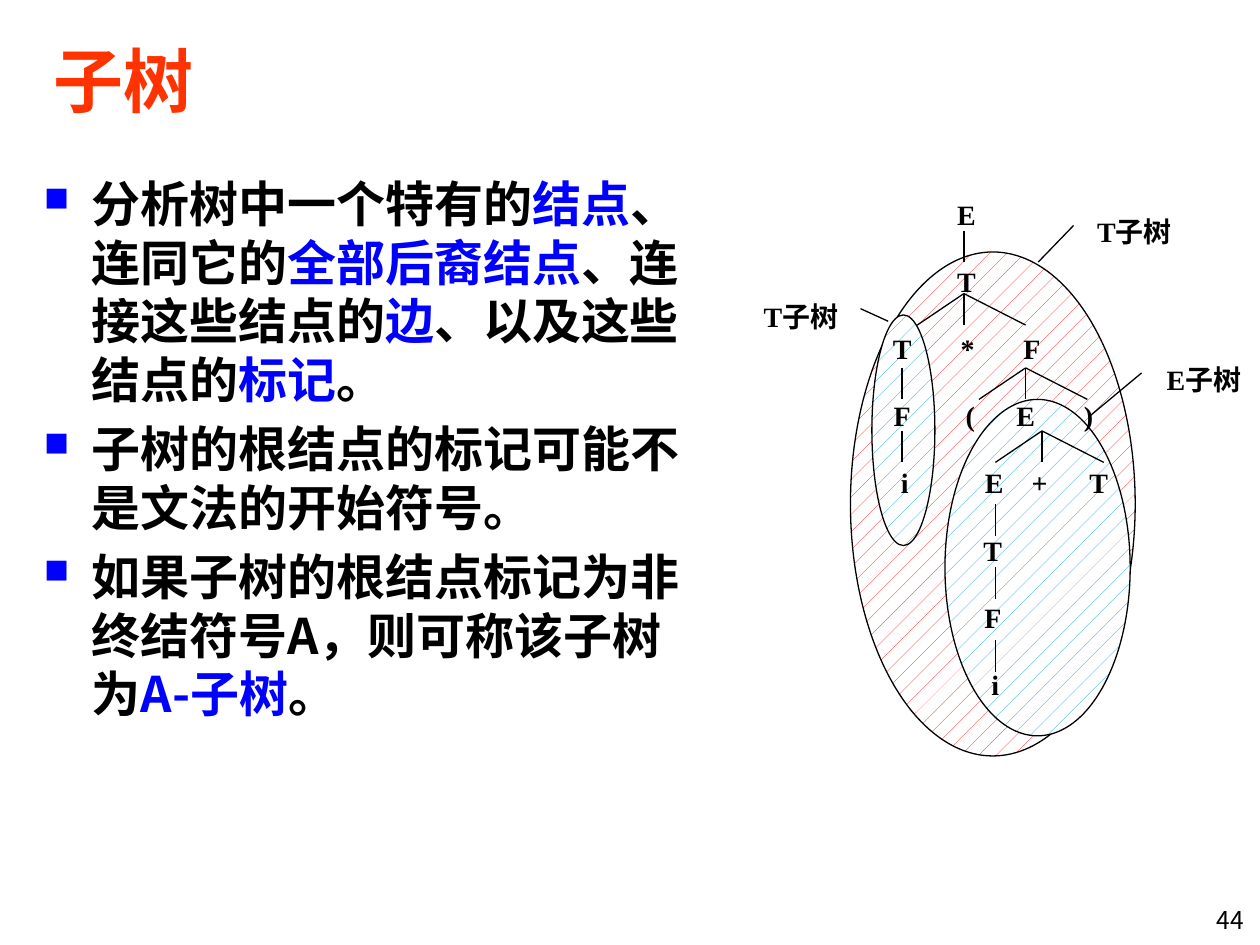
from lxml import etree
from pptx import Presentation
from pptx import util as u
from pptx.dml.color import RGBColor
from pptx.enum import dml, shapes, text
from pptx.oxml.ns import qn

SANS, SERIF = "Noto Sans CJK SC", "Times New Roman"
BLACK, BLUE, ORANGE, WHITE = "000000", "0000FF", "FF3300", "FFFFFF"
RED, CYAN = "FF0000", "0099CC"

# Content: each bullet is a list of (text, colour)
BULLETS = [
    [("分析树中一个特有的", BLACK), ("结点", BLUE), ("、连同它的", BLACK),
     ("全部后裔结点", BLUE), ("、连接这些结点的", BLACK), ("边", BLUE),
     ("、以及这些结点的", BLACK), ("标记", BLUE), ("。", BLACK)],
    [("子树的根结点的标记可能不是文法的开始符号。", BLACK)],
    [("如果子树的根结点标记为非终结符号A，则可称该子树为", BLACK),
     ("A-子树", BLUE), ("。", BLACK)],
]

# Subtrees: ellipse box, hatch colour, label, label box, alignment, leader start and end
SUBTREES = [
    ((6.75, 2, 2.26, 4), RED, "T子树", (8.61, 1.66, 1.55, 0.38),
     text.PP_ALIGN.LEFT, (8.52, 1.79), (8.24, 2.08)),
    ((7.5, 3.17, 1.47, 2.67), CYAN, "E子树", (9.16, 2.83, 1.01, 0.38),
     text.PP_ALIGN.LEFT, (9.06, 2.96), (8.64, 3.31)),
    ((6.92, 2.5, 0.5, 1.83), CYAN, "T子树", (5.92, 2.33, 0.83, 0.38),
     text.PP_ALIGN.RIGHT, (6.83, 2.45), (7.05, 2.55)),
]

# Parse tree: one row per level, each node is (symbol, centre x)
LEVELS = [
    [("E", 7.67)],
    [("T", 7.67)],
    [("T", 7.16), ("*", 7.68), ("F", 8.19)],
    [("F", 7.16), ("(", 7.7), ("E", 8.14), (")", 8.64)],
    [("i", 7.18), ("E", 7.89), ("+", 8.25), ("T", 8.72)],
    [("T", 7.88)],
    [("F", 7.88)],
    [("i", 7.9)],
]
FIRST_LEVEL, LEVEL_STEP = 1.7, 0.533

# Edges: parent x, parent y, then the x of every child
EDGE_DROP = 0.25
EDGES = [
    (7.65, 1.83, [7.65]),
    (7.65, 2.33, [7.28, 8.14, 7.65]),
    (7.16, 2.92, [7.16]),
    (8.14, 2.92, [7.77, 8.63, 8.14]),
    (8.27, 3.42, [7.9, 8.76, 8.27]),
    (7.16, 3.42, [7.16]),
    (7.9, 4, [7.9]),
    (7.9, 4.5, [7.9]),
    (7.9, 5.08, [7.9]),
]


def color(value):
    return RGBColor.from_string(value)


def inches(values):
    return [u.Inches(value) for value in values]


def add_run(paragraph, words, size, font=SANS, fill=BLACK, bold=True):
    run = paragraph.add_run()
    run.text = words
    run.font.size, run.font.bold, run.font.name = u.Pt(size), bold, font
    run.font.color.rgb = color(fill)
    east_asian = etree.SubElement(run.font._element, qn("a:ea"))
    east_asian.set("typeface", SANS)


def add_text_box(box, anchor=text.MSO_ANCHOR.TOP, wrap=True):
    frame = slide.shapes.add_textbox(*inches(box)).text_frame
    frame.word_wrap = wrap
    frame.vertical_anchor = anchor
    return frame


def add_bullet(paragraph):
    properties = paragraph._p.get_or_add_pPr()
    properties.set("marL", str(u.Inches(0.38)))
    properties.set("indent", str(u.Inches(-0.38)))
    bullet_color = etree.SubElement(properties, qn("a:buClr"))
    etree.SubElement(bullet_color, qn("a:srgbClr")).set("val", BLUE)
    etree.SubElement(properties, qn("a:buSzPct")).set("val", "70000")
    etree.SubElement(properties, qn("a:buChar")).set("char", "■")


def add_subtree(ellipse_box, hatch, label, label_box, align, start, end):
    ellipse = slide.shapes.add_shape(shapes.MSO_SHAPE.OVAL, *inches(ellipse_box))
    ellipse.shadow.inherit = False
    ellipse.fill.patterned()
    ellipse.fill.pattern = dml.MSO_PATTERN.PERCENT_5
    ellipse.fill.fore_color.rgb = color(hatch)
    ellipse.fill.back_color.rgb = color(WHITE)

    callout = slide.shapes.add_shape(
        shapes.MSO_SHAPE.LINE_CALLOUT_1_NO_BORDER, *inches(label_box))
    callout.shadow.inherit = False
    callout.fill.solid()
    callout.fill.fore_color.rgb = color(WHITE)
    left, top, width, height = label_box
    for index, (x, y) in enumerate((start, end)):
        callout.adjustments[2 * index] = (y - top) / height
        callout.adjustments[2 * index + 1] = (x - left) / width
    for shape in (ellipse, callout):
        shape.line.color.rgb = color(BLACK)
        shape.line.width = u.Pt(0.75)

    frame = callout.text_frame
    frame.word_wrap = True
    frame.vertical_anchor = text.MSO_ANCHOR.TOP
    paragraph = frame.paragraphs[0]
    paragraph.alignment = align
    paragraph.line_spacing = u.Pt(19)
    add_run(paragraph, label, 16, SERIF)


def add_edge(x, y, child_x):
    line = slide.shapes.add_connector(
        shapes.MSO_CONNECTOR.STRAIGHT, *inches((x, y, child_x, y + EDGE_DROP)))
    line.line.color.rgb = color(BLACK)
    line.line.width = u.Pt(0.75)
    etree.SubElement(line._element.spPr, qn("a:effectLst"))


presentation = Presentation()
presentation.slide_width, presentation.slide_height = inches((10, 7.5))
slide = presentation.slides.add_slide(presentation.slide_layouts[6])

# Subtree areas with their labels
for subtree in SUBTREES:
    add_subtree(*subtree)

# Parse tree nodes and edges
for level, nodes in enumerate(LEVELS):
    center_y = FIRST_LEVEL + level * LEVEL_STEP
    for symbol, center_x in nodes:
        frame = add_text_box((center_x - 0.2, center_y - 0.18, 0.4, 0.36),
                             text.MSO_ANCHOR.MIDDLE, wrap=False)
        frame.paragraphs[0].alignment = text.PP_ALIGN.CENTER
        add_run(frame.paragraphs[0], symbol, 16, SERIF)
for x, y, children in EDGES:
    for child_x in children:
        add_edge(x, y, child_x)

# Title
title = add_text_box((0.33, 0.17, 9.42, 0.92), text.MSO_ANCHOR.MIDDLE)
add_run(title.paragraphs[0], "子树", 40, fill=ORANGE)

# Bulleted definition
body = add_text_box((0.25, 1.33, 5.38, 5.67))
for index, parts in enumerate(BULLETS):
    paragraph = body.add_paragraph() if index else body.paragraphs[0]
    paragraph.line_spacing = u.Pt(33.5)
    paragraph.space_before = u.Pt(6)
    add_bullet(paragraph)
    for words, fill in parts:
        add_run(paragraph, words, 28, fill=fill)

# Page number
number = add_text_box((9.18, 7.15, 0.79, 0.3), text.MSO_ANCHOR.MIDDLE)
number.paragraphs[0].alignment = text.PP_ALIGN.RIGHT
add_run(number.paragraphs[0], "44", 14, bold=False)

presentation.save("out.pptx")
